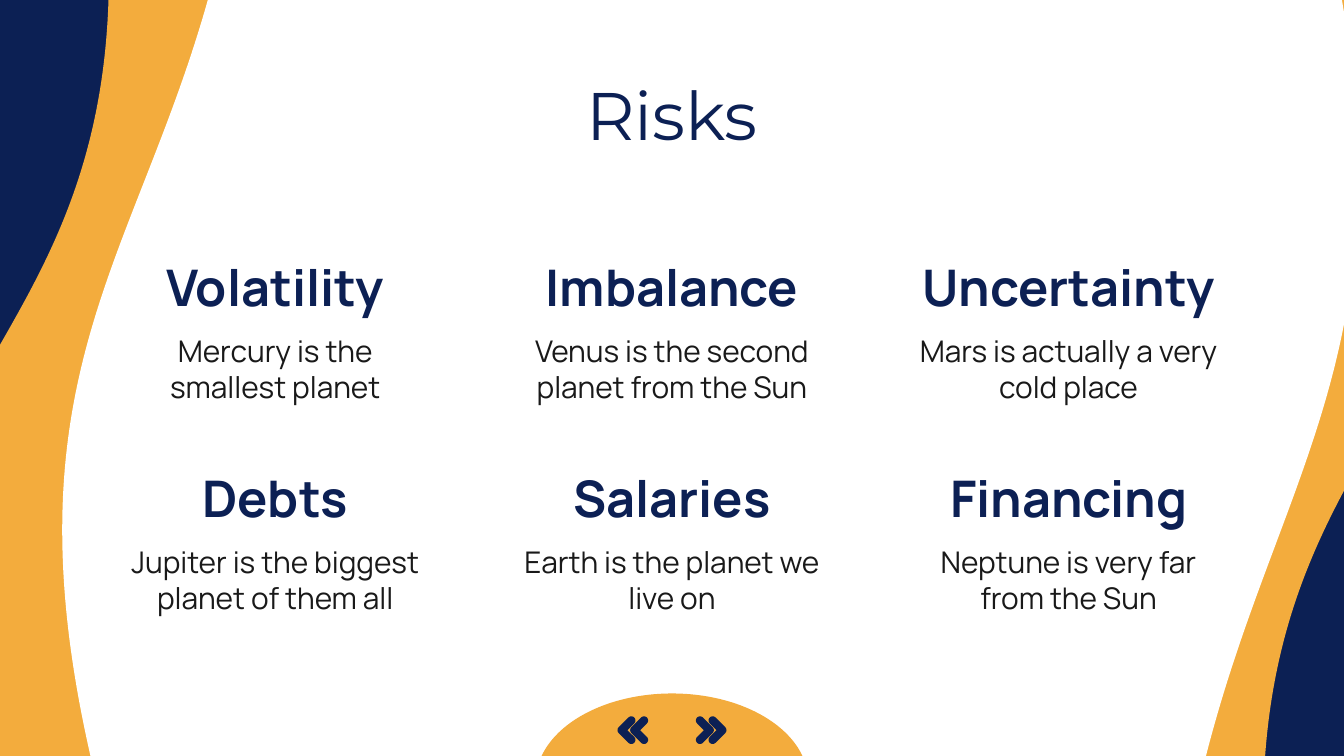
from math import cos, radians, sin, sqrt

from pptx import Presentation
from pptx.dml.color import RGBColor
from pptx.enum.shapes import MSO_SHAPE as Shape
from pptx.enum.text import MSO_ANCHOR as Anchor, PP_ALIGN as Align
from pptx.util import Pt

COLORS = {"navy": "0C2054", "orange": "F3AC3D", "white": "FFFFFF", "ink": "191919"}
WAVES = [
    ("orange", 90, (2.16, -67.68, 448.56, 556.56)),
    ("orange", 270, (283.68, -68.4, 450, 556.56)),
    ("white", 270, (104.4, -27.36, 696.24, 564.48)),
    ("white", 90, (-23.04, -145.44, 655.2, 556.56)),
]
RISKS = [
    ("Volatility", "Mercury is the smallest planet"),
    ("Imbalance", "Venus is the second planet from the Sun"),
    ("Uncertainty", "Mars is actually a very cold place"),
    ("Debts", "Jupiter is the biggest planet of them all"),
    ("Salaries", "Earth is the planet we live on"),
    ("Financing", "Neptune is very far from the Sun"),
]


class SlideBuilder:
    """Draws styled elements on one slide, with lengths in points."""

    def __init__(self, slide):
        self.slide = slide
        self.inset = Pt(7.2)
        self.chevron_radius = 2.2
        self.chevron_arm = 5.2

    def fill(self, fill, color):
        fill.solid()
        fill.fore_color.rgb = RGBColor.from_string(COLORS[color])

    def style(self, shape, color):
        self.fill(shape.fill, color)
        shape.line.fill.background()
        shape.shadow.inherit = False

    def flipped(self, preset, box, rotation, color):
        shape = self.slide.shapes.add_shape(preset, *map(Pt, box))
        self.style(shape, color)
        shape.rotation = rotation
        shape.element.spPr.xfrm.set("flipH", "1")
        return shape

    def text(self, words, box, size, font="Manrope", color="navy", bold=False):
        frame = self.slide.shapes.add_textbox(*map(Pt, box)).text_frame
        frame.word_wrap = True
        frame.vertical_anchor = Anchor.MIDDLE
        frame.margin_left = frame.margin_right = self.inset
        frame.margin_top = frame.margin_bottom = self.inset
        paragraph = frame.paragraphs[0]
        paragraph.text = words
        paragraph.alignment = Align.CENTER
        paragraph.font.name = font
        paragraph.font.size = Pt(size)
        paragraph.font.bold = bold
        paragraph.font.color.rgb = RGBColor.from_string(COLORS[color])

    def chevron(self, shapes, tip_x, middle_y, direction):
        radius, arm = self.chevron_radius, self.chevron_arm
        outline = []
        for x, y, start, stop in [(-arm, -arm, 135, 315), (0, 0, -45, 45), (-arm, arm, 45, 225)]:
            for angle in range(start, stop + 1, 15):
                outline.append((x + radius * cos(radians(angle)), y + radius * sin(radians(angle))))
        outline.append((-radius * sqrt(2), 0))
        points = [(Pt(tip_x + direction * x), Pt(middle_y + y)) for x, y in outline]
        builder = shapes.build_freeform(*points[0])
        builder.add_line_segments(points[1:], close=True)
        self.style(builder.convert_to_shape(), "navy")

    def double_chevron(self, center_x, middle_y, direction):
        group = self.slide.shapes.add_group_shape()
        for offset in (20.2, 27):
            self.chevron(group.shapes, center_x + direction * offset, middle_y, direction)


def main():
    presentation = Presentation()
    presentation.slide_width, presentation.slide_height = Pt(720), Pt(405)
    slide = presentation.slides.add_slide(presentation.slide_layouts[6])
    builder = SlideBuilder(slide)
    builder.fill(slide.background.fill, "navy")

    for color, rotation, box in WAVES:
        builder.flipped(Shape.FLOWCHART_DOCUMENT, box, rotation, color)

    for index, (heading, detail) in enumerate(RISKS):
        row, column = divmod(index, 3)
        left, top = 56.7 + 212.5 * column, 132.5 + 113 * row
        builder.text(heading, (left, top, 181.6, 41.8), 27, bold=True)
        builder.text(detail, (left, top + 46, 181.6, 38.2), 16, color="ink")
    builder.text("Risks", (56.7, 41.8, 606.6, 38.2), 36, font="Montserrat")

    dome = builder.flipped(Shape.PIE, (287, 371.5, 146, 94.3), 180, "orange")
    dome.adjustments[0], dome.adjustments[1] = 0, 108.31
    for direction in (1, -1):
        builder.double_chevron(360, 391.2, direction)

    presentation.save("out.pptx")


if __name__ == "__main__":
    main()
